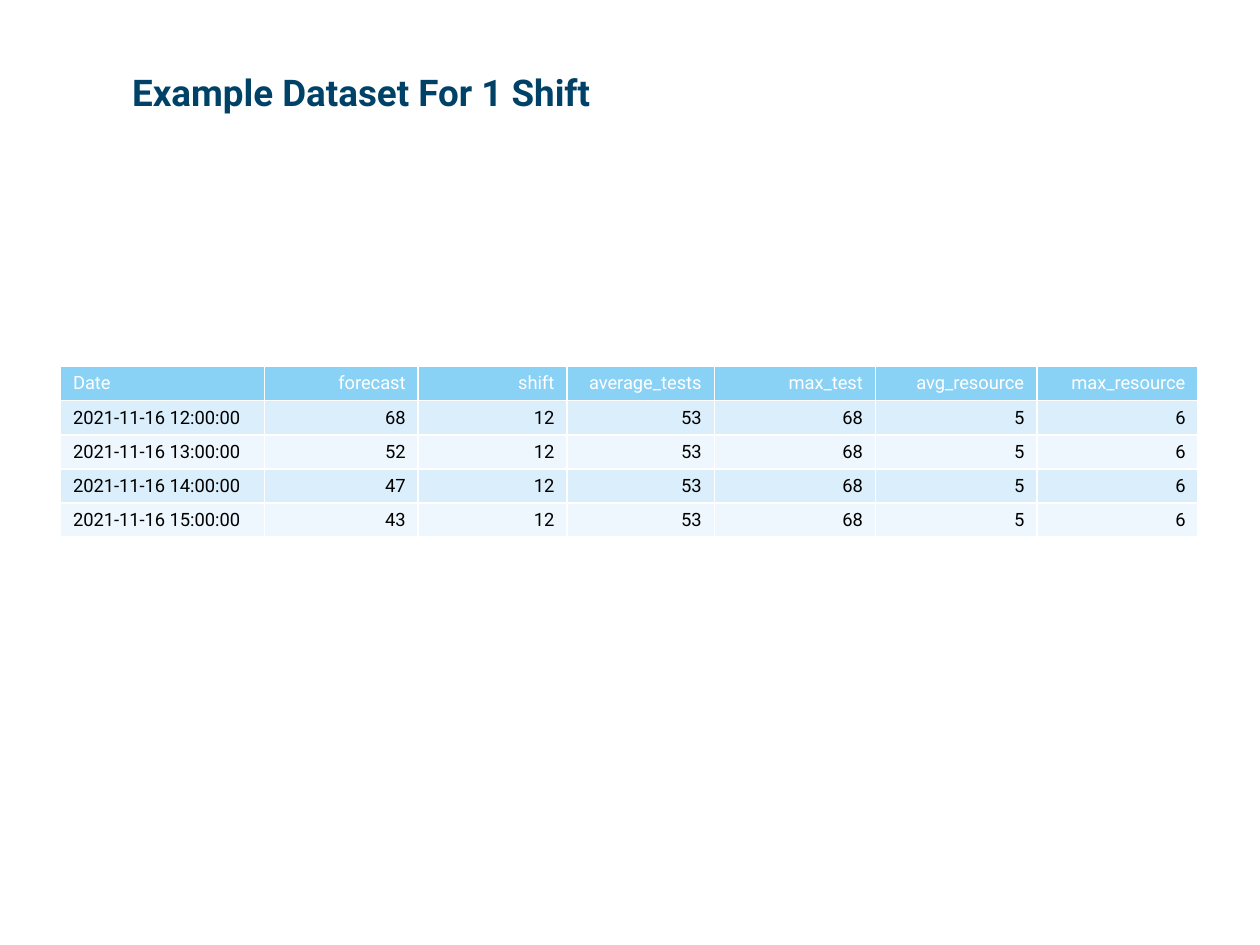
from lxml import etree
from pptx import Presentation, util as u
from pptx.dml.color import RGBColor
from pptx.enum import text as t
from pptx.oxml.ns import qn

TITLE = "Example Dataset For 1 Shift"
HEAD = ["Date", "forecast", "shift", "average_tests", "max_test",
        "avg_resource", "max_resource"]
HOURS = {12: 68, 13: 52, 14: 47, 15: 43}
SAME = [12, 53, 68, 5, 6]
ROWS = [HEAD] + [[f"2021-11-16 {hour}:00:00", count, *SAME]
                 for hour, count in HOURS.items()]
COLS = [1.62, 1.22, 1.18, 1.17, 1.28, 1.28, 1.28]
ROW = 0.27
COLORS = {"title": "004267", "head": "89D2F6", "odd": "DAEEFB",
          "even": "EDF7FD", "light": "FFFFFF", "dark": "000000"}
FONTS = {"title": {"name": "Roboto", "size": u.Pt(21), "bold": True},
         "cell": {"name": "Roboto", "size": u.Pt(10.5), "bold": False}}


def write(frame, words, font, color, align=t.PP_ALIGN.LEFT):
    """Put one formatted line of text in a frame."""
    para = frame.paragraphs[0]
    para.alignment = align
    run = para.add_run()
    run.text = str(words)
    for key, value in FONTS[font].items():
        setattr(run.font, key, value)
    run.font.color.rgb = RGBColor.from_string(COLORS[color])


def border(cell, color, width=1):
    """Draw all four edges of a cell, before its fill in the XML."""
    props = cell._tc.get_or_add_tcPr()
    for spot, side in enumerate("LRTB"):
        line = etree.Element(qn(f"a:ln{side}"), w=str(u.Pt(width)))
        fill = etree.SubElement(line, qn("a:solidFill"))
        etree.SubElement(fill, qn("a:srgbClr"), val=COLORS[color])
        props.insert(spot, line)


def add_title(slide):
    """Add the heading."""
    box = slide.shapes.add_textbox(*map(u.Inches, (0.95, 0.34, 6.65, 0.61)))
    frame = box.text_frame
    frame.word_wrap = True
    frame.vertical_anchor = t.MSO_ANCHOR.BOTTOM
    write(frame, TITLE, "title", "title")


def add_data(slide):
    """Add the banded table of hours."""
    size = (0.48, 2.91, sum(COLS), ROW * len(ROWS))
    frame = slide.shapes.add_table(len(ROWS), len(COLS), *map(u.Inches, size))
    table = frame.table
    table.horz_banding = False
    for col, width in zip(table.columns, COLS):
        col.width = u.Inches(width)
    for r, values in enumerate(ROWS):
        table.rows[r].height = u.Inches(ROW)
        band = "head" if r == 0 else ("even", "odd")[r % 2]
        for c, value in enumerate(values):
            cell = table.cell(r, c)
            cell.fill.solid()
            cell.fill.fore_color.rgb = RGBColor.from_string(COLORS[band])
            border(cell, "light")
            write(cell.text_frame, value, "cell", "dark" if r else "light",
                  t.PP_ALIGN.RIGHT if c else t.PP_ALIGN.LEFT)


deck = Presentation()
deck.slide_width, deck.slide_height = u.Inches(10), u.Inches(7.5)
page = deck.slides.add_slide(deck.slide_layouts[6])
add_data(page)
add_title(page)
deck.save("out.pptx")
